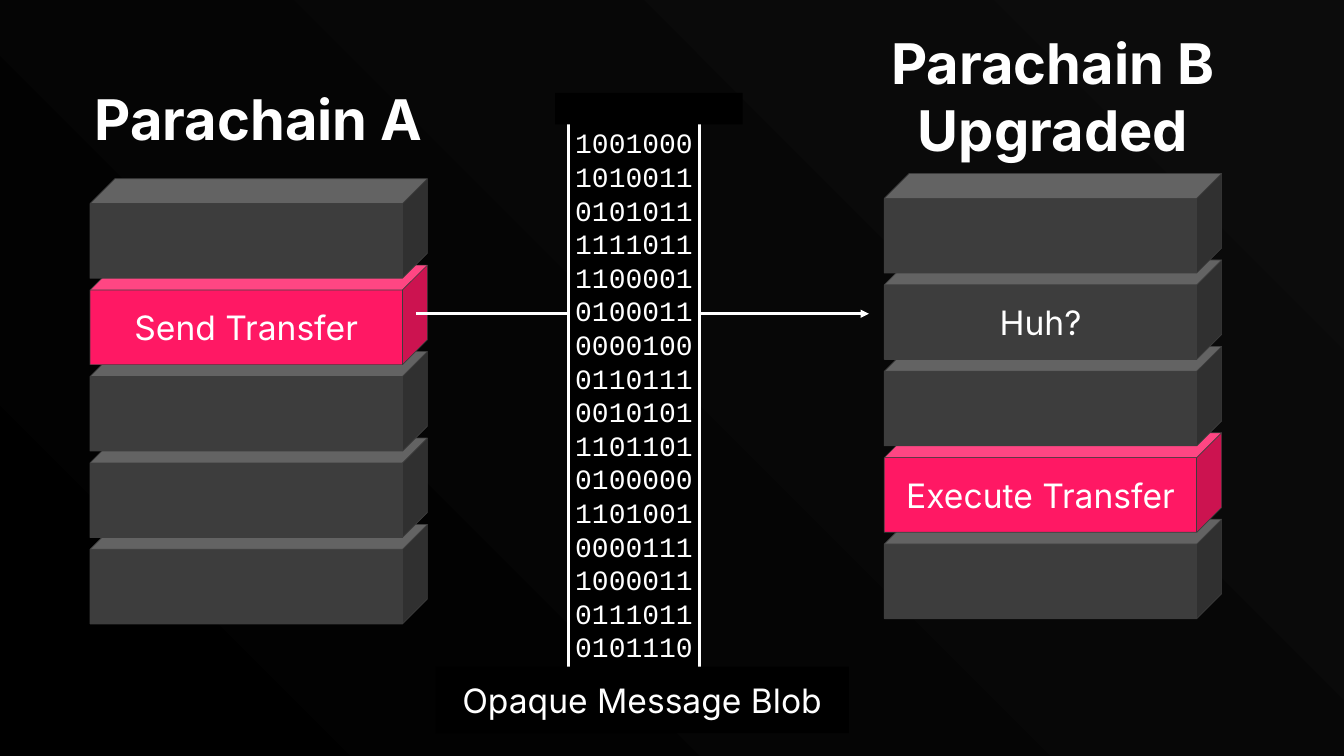
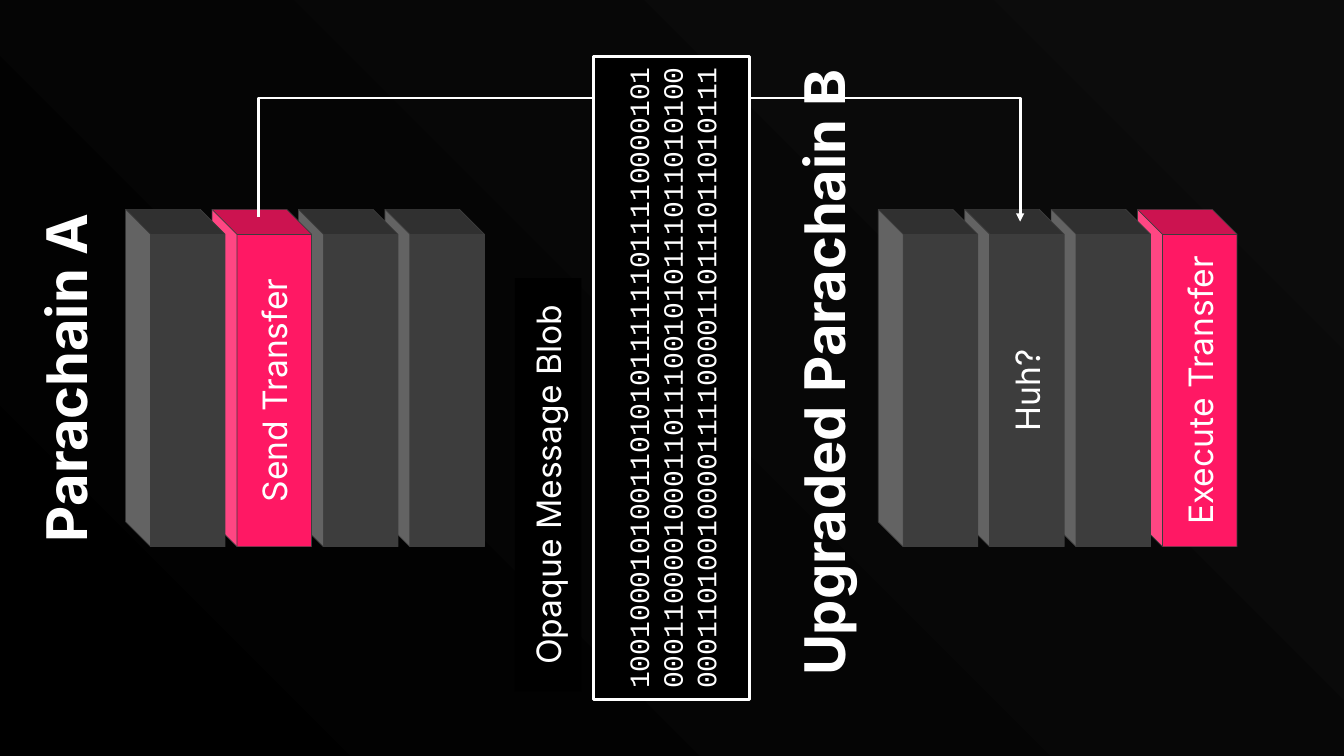
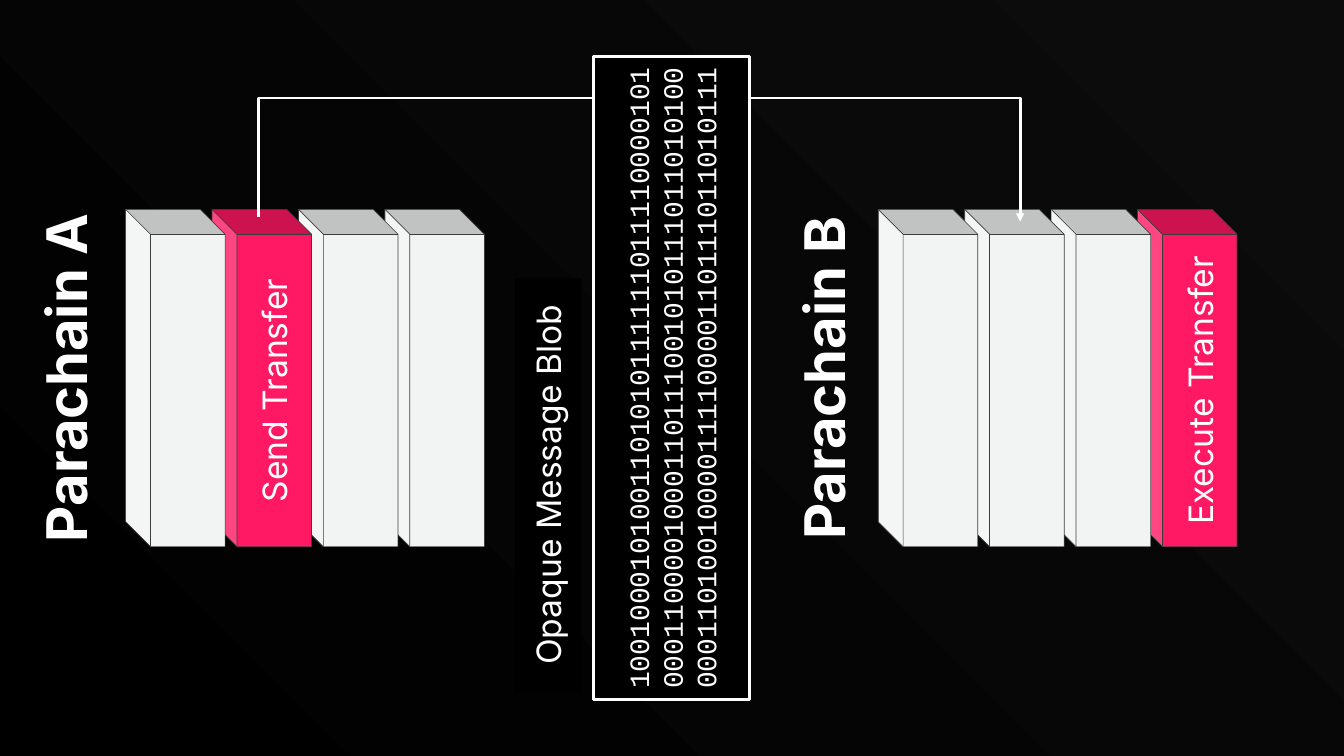
from dataclasses import dataclass

from lxml import etree
from pptx import Presentation
from pptx.dml.color import RGBColor
from pptx.enum.shapes import MSO_CONNECTOR, MSO_SHAPE
from pptx.enum.text import MSO_ANCHOR, MSO_AUTO_SIZE, PP_ALIGN
from pptx.oxml.ns import qn
from pptx.util import Pt

CUBE, RECT = MSO_SHAPE.CUBE, MSO_SHAPE.RECTANGLE
STRAIGHT = MSO_CONNECTOR.STRAIGHT
CENTER = PP_ALIGN.CENTER
TOP, MIDDLE = MSO_ANCHOR.TOP, MSO_ANCHOR.MIDDLE
GROW = MSO_AUTO_SIZE.SHAPE_TO_FIT_TEXT


@dataclass(frozen=True)
class Theme:
    black: str = "000000"
    night: str = "0C0C0C"
    white: str = "FFFFFF"
    gray: str = "3D3D3D"
    light: str = "F2F4F4"
    pink: str = "FF1864"
    font: str = "Inter"
    mono: str = "Courier New"
    title: int = 60
    label: int = 36
    code: int = 30
    code_line: int = 36


THEME = Theme()
WIDTH, HEIGHT = 1440, 810
CUBE_W, CUBE_H, PITCH = 361.4, 106.6, 92.6
TITLE_W, TITLE_H = 475, 87.1
LABEL_W, LABEL_H = 442.8, 71.3
SIDEWAYS = 270

SEND, EXECUTE, HUH = "Send Transfer", "Execute Transfer", "Huh?"
TALL_BITS = (
    "1001000101001101010111111011110000101000110000100011011100"
    "101011101101010000011010010000111100001101110110101110"
)
WIDE_BITS = (
    "1001000101001101010111111011110000101"
    "0001100001000110111001010111011010100"
    "0001101001000011110000110111011010111"
)


class Deck:
    def __init__(self, theme):
        self.theme = theme
        self.prs = Presentation()
        self.prs.slide_width, self.prs.slide_height = Pt(WIDTH), Pt(HEIGHT)
        self.s = None

    def slide(self):
        self.s = self.prs.slides.add_slide(self.prs.slide_layouts[6])
        fill = self.s.background.fill
        fill.gradient()
        fill.gradient_angle = 45
        ends = (0, self.theme.black), (1, self.theme.night)
        for stop, (position, color) in zip(fill.gradient_stops, ends):
            stop.position = position
            stop.color.rgb = RGBColor.from_string(color)

    def frame(self, cx, cy, w, h):
        return Pt(cx - w / 2), Pt(cy - h / 2), Pt(w), Pt(h)

    def text(self, sp, lines, size, font=None, bold=False, anchor=MIDDLE):
        tf = sp.text_frame
        tf.word_wrap = True
        tf.vertical_anchor = anchor
        tf.margin_left = tf.margin_right = Pt(7.2)
        tf.margin_top = tf.margin_bottom = Pt(7.2)
        tf.text = "\n".join(lines)
        for p in tf.paragraphs:
            p.alignment = CENTER
            p.font.name = font or self.theme.font
            p.font.size = Pt(size)
            p.font.bold = bold
            p.font.color.rgb = RGBColor.from_string(self.theme.white)
        return tf

    def stroke(self, sp, color, width):
        sp.line.color.rgb = RGBColor.from_string(color)
        sp.line.width = Pt(width)

    def arrowhead(self, sp):
        ln = sp._element.spPr.find(qn("a:ln"))
        etree.SubElement(ln, qn("a:tailEnd"), type="triangle")

    def shape(self, kind, cx, cy, w, h, fill, rotation=0):
        sp = self.s.shapes.add_shape(kind, *self.frame(cx, cy, w, h))
        sp.shadow.inherit = False
        sp.rotation = rotation
        sp.fill.solid()
        sp.fill.fore_color.rgb = RGBColor.from_string(fill)
        sp.line.fill.background()
        return sp

    def cube(self, cx, cy, fill, text, rotation):
        sp = self.shape(CUBE, cx, cy, CUBE_W, CUBE_H, fill, rotation)
        self.stroke(sp, self.theme.gray, 0.75)
        if text:
            self.text(sp, [text], self.theme.label)

    def stack(self, cx, cy, blocks, fill, rotation=0):
        for i, text in reversed(list(enumerate(blocks))):
            color = self.theme.pink if text in (SEND, EXECUTE) else fill
            offset = i * PITCH
            x, y = (cx + offset, cy) if rotation else (cx, cy + offset)
            self.cube(x, y, color, text, rotation)

    def title(self, cx, cy, *lines, w=TITLE_W, h=TITLE_H, rotation=0):
        sp = self.s.shapes.add_textbox(*self.frame(cx, cy, w, h))
        sp.rotation = rotation
        tf = self.text(sp, lines, self.theme.title, bold=True, anchor=TOP)
        tf.auto_size = GROW

    def label(self, cx, cy, rotation=0):
        sp = self.shape(RECT, cx, cy, LABEL_W, LABEL_H, self.theme.black, rotation)
        self.text(sp, ["Opaque Message Blob"], self.theme.label)

    def message(self, cx, cy, w, h, bits, rotation=0):
        sp = self.shape(RECT, cx, cy, w, h, self.theme.black, rotation)
        self.stroke(sp, self.theme.white, 3)
        tf = self.text(sp, [bits], self.theme.code, self.theme.mono)
        tf.paragraphs[0].line_spacing = Pt(self.theme.code_line)

    def arrow(self, x1, y1, x2, y2):
        cn = self.s.shapes.add_connector(STRAIGHT, Pt(x1), Pt(y1), Pt(x2), Pt(y2))
        self.stroke(cn, self.theme.white, 3)
        self.arrowhead(cn)
        etree.SubElement(cn._element.spPr, qn("a:effectLst"))

    def bent_arrow(self, *points):
        start, *rest = [(Pt(x), Pt(y)) for x, y in points]
        builder = self.s.shapes.build_freeform(*start)
        builder.add_line_segments(rest, close=False)
        sp = builder.convert_to_shape()
        sp.shadow.inherit = False
        sp.fill.background()
        self.stroke(sp, self.theme.white, 3)
        self.arrowhead(sp)


def upright_slide(deck):
    deck.slide()
    deck.stack(277.2, 244.8, ["", SEND, "", "", ""], THEME.gray)
    deck.title(277.2, 126.4, "Parachain A")
    deck.stack(1128.2, 239.2, ["", HUH, "", EXECUTE, ""], THEME.gray)
    deck.title(1128.2, 103, "Parachain B", "Upgraded", h=159.8)
    deck.arrow(445.7, 336.2, 931, 336.2)
    deck.message(679.3, 423, 141, 592.6, TALL_BITS)
    deck.shape(RECT, 695.2, 116.3, 200.9, 33.8, THEME.black)
    deck.label(688, 749.9)


def sideways_slide(deck, fill, reply, title_b, title_w, title_y):
    deck.slide()
    middle = HEIGHT / 2
    deck.stack(187.9, middle, ["", SEND, "", ""], fill, SIDEWAYS)
    deck.title(69.8, middle, "Parachain A", rotation=SIDEWAYS)
    deck.stack(994.3, middle, ["", reply, "", EXECUTE], fill, SIDEWAYS)
    deck.title(882, title_y, title_b, w=title_w, rotation=SIDEWAYS)
    deck.label(587.2, 519.5, SIDEWAYS)
    deck.bent_arrow((277.2, 232.6), (277.2, 105), (1093, 105), (1093, 237.6))
    deck.message(719.6, middle, 689, 167, WIDE_BITS, SIDEWAYS)


def main():
    deck = Deck(THEME)
    upright_slide(deck)
    sideways_slide(deck, THEME.gray, HUH, "Upgraded Parachain B", 715, 399.2)
    sideways_slide(deck, THEME.light, "", "Parachain B", TITLE_W, HEIGHT / 2)
    deck.prs.save("out.pptx")


if __name__ == "__main__":
    main()
